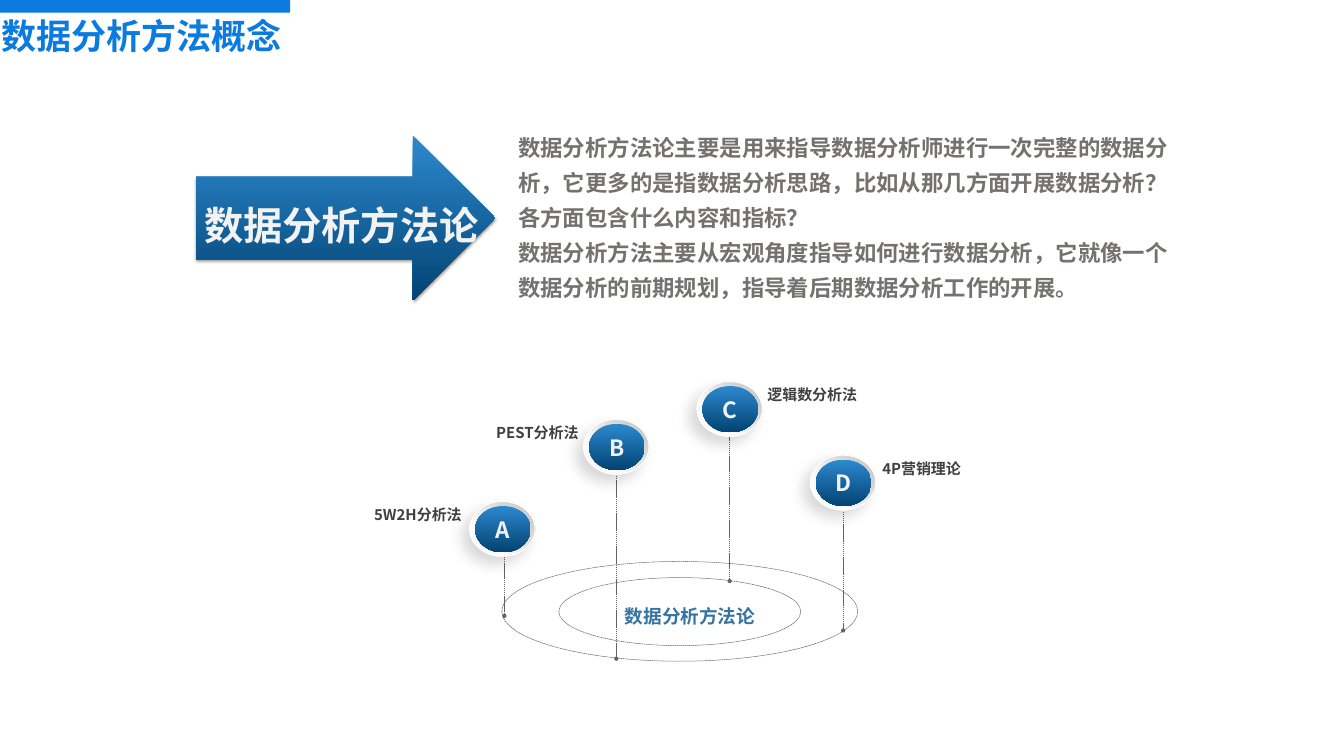
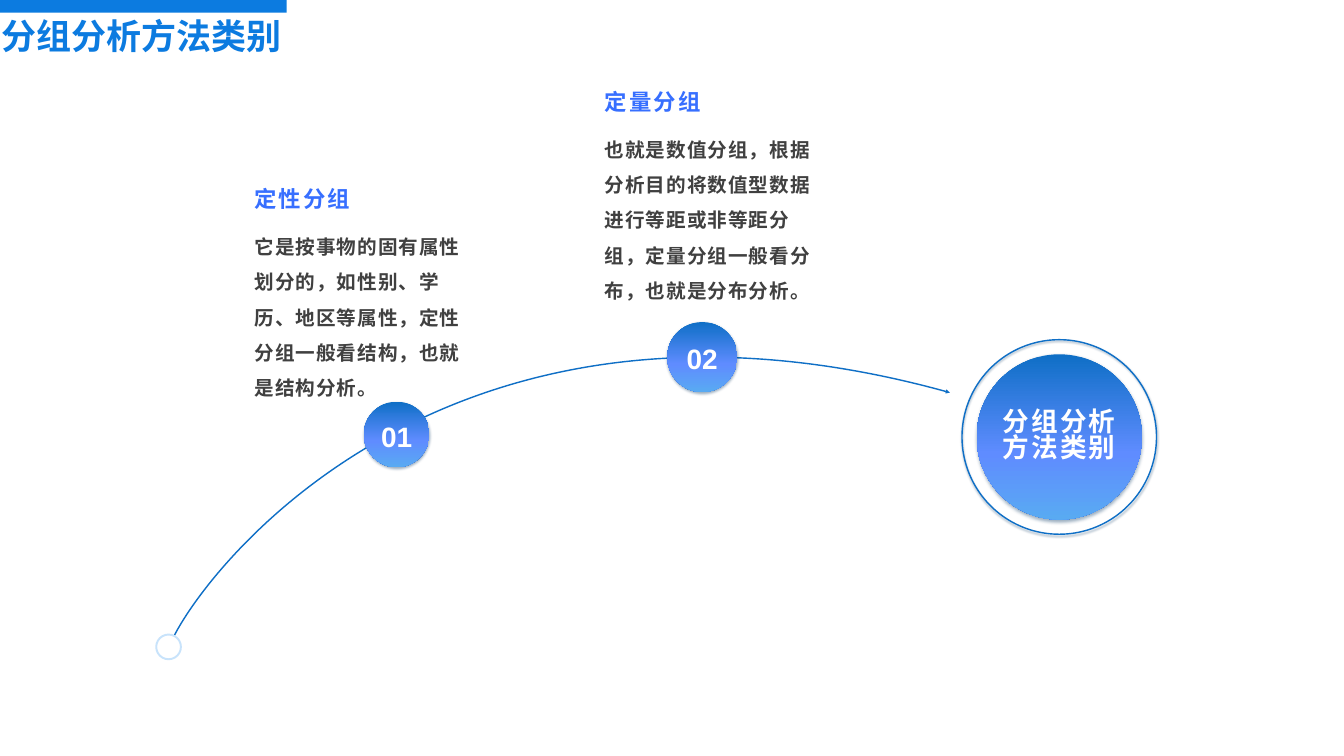
from lxml import etree
from pptx import Presentation
from pptx.dml.color import RGBColor
from pptx.enum import dml, shapes, text
from pptx.oxml import ns
from pptx.util import Inches, Pt

CJK, LATIN = "Noto Sans CJK JP", "Arial"
BRAND = RGBColor(0x0C, 0x7B, 0xE0)
HEADING = RGBColor(0x37, 0x6F, 0xFF)
CURVE = RGBColor(0x0F, 0x6F, 0xC6)
PALE = RGBColor(0xC8, 0xE3, 0xFB)
HUB = RGBColor(0x35, 0x74, 0xA0)
WHITE = RGBColor(0xFF, 0xFF, 0xFF)
OFF_WHITE = RGBColor(0xF2, 0xF2, 0xF2)
GREY = RGBColor(0x75, 0x71, 0x70)
DARK = RGBColor(0x40, 0x40, 0x40)
DASH = RGBColor(0x62, 0x62, 0x62)
BLACK = RGBColor(0, 0, 0)
NAVY = RGBColor(0x08, 0x37, 0x63)

DEEP = [(0, RGBColor(0x2C, 0x89, 0xCE)), (100, RGBColor(0x03, 0x43, 0x73))]
BRIGHT = [(0, CURVE), (60, RGBColor(0x5F, 0x8C, 0xFF)), (100, RGBColor(0x59, 0xAA, 0xF2))]
SILVER = [(0, RGBColor(0xBF, 0xBF, 0xBF)), (70, RGBColor(0xFA, 0xFA, 0xFA))]

LEFT, CENTER, RIGHT = text.PP_ALIGN.LEFT, text.PP_ALIGN.CENTER, text.PP_ALIGN.RIGHT
TOP, MIDDLE = text.MSO_ANCHOR.TOP, text.MSO_ANCHOR.MIDDLE
ROOMY, SNUG, FLUSH, HEAD = (0.2, 0.1, 0.2, 0.1), (0.1, 0.05, 0.1, 0.05), (0, 0, 0, 0), (0.2, 0.1, 0.2, 0)

CONCEPT = {
    "title": "数据分析方法概念",
    "band": 5.78,
    "arrow": "数据分析方法论",
    "intro": [
        "数据分析方法论主要是用来指导数据分析师进行一次完整的数据分析，它更多的是指数据分析思路，比如从那几方面开展数据分析？各方面包含什么内容和指标？",
        "数据分析方法主要从宏观角度指导如何进行数据分析，它就像一个数据分析的前期规划，指导着后期数据分析工作的开展。",
    ],
    "hub": "数据分析方法论",
    "methods": [
        ("A", "5W2H分析法", (9.32, 9.95), (10.01, 12.22), 5.01, RIGHT),
        ("B", "PEST分析法", (11.58, 8.32), (12.23, 13.07), 7.33, RIGHT),
        ("C", "逻辑数分析法", (13.83, 7.57), (14.48, 11.53), 15.13, LEFT),
        ("D", "4P营销理论", (16.08, 9.03), (16.73, 12.51), 17.41, LEFT),
    ],
    "orbits": [(9.96, 11.14, 7.06, 1.98), (11.09, 11.46, 4.8, 1.35)],
}
GROUPING = {
    "title": "分组分析方法类别",
    "band": 5.71,
    "goal": ["分组分析", "方法类别"],
    "steps": [
        ("01", "定性分组", "它是按事物的固有属性划分的，如性别、学历、地区等属性，定性分组一般看结构，也就是结构分析。",
         (4.85, 3.49), (7.22, 7.97, 1.3, 1.3)),
        ("02", "定量分组", "也就是数值分组，根据分析目的将数值型数据进行等距或非等距分组，定量分组一般看分布，也就是分布分析。",
         (11.8, 1.56), (13.24, 6.39, 1.39, 1.39)),
    ],
    "curve": [(3.35, 12.87), (3.56, 12.03), (8.31, 4.85), (18.85, 7.79)],
}


def box(left, top, width, height):
    return [Inches(length) for length in (left, top, width, height)]


def write(frame, lines, size, color, name=CJK, align=LEFT, anchor=TOP, insets=SNUG,
          spacing=1.0, tracking=0, wrap=True):
    margins = zip(("margin_left", "margin_top", "margin_right", "margin_bottom"), map(Inches, insets))
    frame_format = dict(margins, word_wrap=wrap, vertical_anchor=anchor, auto_size=text.MSO_AUTO_SIZE.NONE)
    for key, value in frame_format.items():
        setattr(frame, key, value)
    for index, line in enumerate(lines):
        paragraph = frame.add_paragraph() if index else frame.paragraphs[0]
        paragraph.alignment, paragraph.line_spacing = align, spacing
        paragraph._p.get_or_add_pPr().set("hangingPunct", "0")
        run = paragraph.add_run()
        run.text = line
        for key, value in {"size": Pt(size), "bold": True, "name": name}.items():
            setattr(run.font, key, value)
        run.font.color.rgb = color
        properties = run._r.get_or_add_rPr()
        etree.SubElement(properties, ns.qn("a:ea"), typeface=name)
        if tracking:
            properties.set("spc", str(int(tracking * 100)))


def label(slide, place, lines, size, color, **style):
    write(slide.shapes.add_textbox(*box(*place)).text_frame, lines, size, color, **style)


def add_color(parent, color, alpha=100):
    tag = etree.SubElement(parent, ns.qn("a:srgbClr"), val=str(color))
    if alpha < 100:
        etree.SubElement(tag, ns.qn("a:alpha"), val=str(alpha * 1000))


def paint(shape, fill=None, angle=90, line=None, shadow=None):
    shape.shadow.inherit = False
    properties = shape._element.spPr
    if isinstance(fill, list):
        shape.fill.gradient()
        shape.fill.gradient_angle = 360 - angle
        stops = properties.find(".//" + ns.qn("a:gsLst"))
        stops.clear()
        for position, color in fill:
            add_color(etree.SubElement(stops, ns.qn("a:gs"), pos=str(position * 1000)), color)
    elif fill is None:
        shape.fill.background()
    else:
        shape.fill.solid()
        shape.fill.fore_color.rgb = fill
    if line:
        stroke(shape, *line)
    else:
        shape.line.fill.background()
    if shadow:
        color, alpha, blur, distance, direction = shadow
        outer = etree.SubElement(
            properties.find(ns.qn("a:effectLst")), ns.qn("a:outerShdw"), blurRad=str(Pt(blur)),
            dist=str(Pt(distance)), dir=str(direction * 60000), algn="ctr", rotWithShape="0")
        add_color(outer, color, alpha)
    return shape


def stroke(shape, color, width, dash=None):
    shape.line.color.rgb = color
    shape.line.width = Pt(width)
    if dash:
        shape.line.dash_style = dash


def end_marks(shape, **marks):
    outline = shape._element.spPr.find(ns.qn("a:ln"))
    for end, mark in marks.items():
        etree.SubElement(outline, ns.qn("a:" + end), type=mark)


def draw(slide, kind, place, **style):
    return paint(slide.shapes.add_shape(kind, *box(*place)), **style)


def oval(slide, place, **style):
    return draw(slide, shapes.MSO_SHAPE.OVAL, place, **style)


def titled_slide(deck, content):
    slide = deck.slides.add_slide(deck.slide_layouts[5])
    draw(slide, shapes.MSO_SHAPE.RECTANGLE, (-0.02, -0.01, content["band"], 0.26), fill=BRAND)
    title = slide.shapes.title
    title.left, title.top, title.width, title.height = box(0.03, 0.28, content["band"] + 0.42, 1.62)
    write(title.text_frame, [content["title"]], 50, BRAND, insets=FLUSH)
    return slide


def concept_slide(deck):
    slide = titled_slide(deck, CONCEPT)
    draw(slide, shapes.MSO_SHAPE.RIGHT_ARROW, (3.89, 2.69, 5.94, 3.27), fill=DEEP, shadow=(BLACK, 40, 4, 3, 90))
    label(slide, (10.08, 2.41, 13.36, 3.7), CONCEPT["intro"], 32, GREY, insets=ROOMY, spacing=1.3)
    label(slide, (3.85, 3.61, 6.27, 1.42), [CONCEPT["arrow"]], 56, OFF_WHITE, insets=ROOMY, spacing=1.3)

    dashed = (DASH, 0.75, dml.MSO_LINE.SQUARE_DOT)
    for _, _, (_, top), (x, foot), _, _ in CONCEPT["methods"]:
        stem = slide.shapes.add_connector(
            shapes.MSO_CONNECTOR.STRAIGHT, Inches(x), Inches(foot), Inches(x), Inches(top + 0.7))
        stroke(stem, *dashed)
        end_marks(stem, headEnd="oval", tailEnd="oval")
        etree.SubElement(stem._element.spPr, ns.qn("a:effectLst"))
    for orbit in CONCEPT["orbits"]:
        oval(slide, orbit, line=dashed)
    label(slide, (12.3, 11.85, 2.83, 0.64), [CONCEPT["hub"]], 26.6, HUB, anchor=MIDDLE, spacing=1.2,
          align=text.PP_ALIGN.JUSTIFY)
    for letter, method, (left, top), _, label_left, align in CONCEPT["methods"]:
        oval(slide, (left, top, 1.3, 1.09), fill=SILVER, angle=135,
             line=(WHITE, 1.5), shadow=(BLACK, 15, 20, 15, 135))
        disc = oval(slide, (left + 0.11, top + 0.09, 1.1, 0.92), fill=DEEP)
        write(disc.text_frame, [letter], 32, OFF_WHITE, align=CENTER, anchor=MIDDLE, insets=FLUSH, wrap=False)
        label(slide, (label_left, top - 0.04, 4.25, 0.53), [method], 21.4, DARK, align=align, spacing=1.2)


def bezier(points, t):
    weights = ((1 - t) ** 3, 3 * t * (1 - t) ** 2, 3 * t ** 2 * (1 - t), t ** 3)
    return tuple(Inches(sum(w * p[axis] for w, p in zip(weights, points))) for axis in (0, 1))


def curved_line(slide, points, pieces=60):
    route = [bezier(points, n / pieces) for n in range(pieces + 1)]
    builder = slide.shapes.build_freeform(*route[0])
    builder.add_line_segments(route[1:], close=False)
    curve = builder.convert_to_shape()
    outline = curve._element.spPr.find(".//" + ns.qn("a:path"))
    for segment in outline.findall(ns.qn("a:lnTo")):
        outline.remove(segment)
    bend = etree.SubElement(outline, ns.qn("a:cubicBezTo"))
    for x, y in points[1:]:
        etree.SubElement(bend, ns.qn("a:pt"), x=str(Inches(x) - curve.left), y=str(Inches(y) - curve.top))
    return curve


def grouping_slide(deck):
    slide = titled_slide(deck, GROUPING)
    curve = paint(curved_line(slide, GROUPING["curve"]), line=(CURVE, 2))
    end_marks(curve, tailEnd="triangle")
    oval(slide, (3.1, 12.59, 0.49, 0.49), fill=WHITE, line=(PALE, 2.75))

    for number, heading, detail, (left, top), place in GROUPING["steps"]:
        disc = oval(slide, place, fill=BRIGHT, shadow=(NAVY, 40, 4, 2, 90))
        write(disc.text_frame, [number], 40, WHITE, name=LATIN, align=CENTER, anchor=MIDDLE,
              insets=FLUSH, spacing=1.1, wrap=False)
        label(slide, (left, top + 0.84, 4.73, 3.8), [detail], 28, DARK, insets=ROOMY, spacing=1.5, tracking=1.5)
        label(slide, (left, top, 3.57, 0.79), [heading], 32, HEADING, anchor=MIDDLE, insets=HEAD, tracking=3)

    goal = oval(slide, (19.38, 7.03, 3.28, 3.28), fill=BRIGHT, shadow=(NAVY, 40, 5, 3, 90))
    write(goal.text_frame, GROUPING["goal"], 38, WHITE, align=CENTER, anchor=MIDDLE, insets=FLUSH,
          spacing=0.8, tracking=3, wrap=False)
    oval(slide, (19.09, 6.74, 3.86, 3.86), line=(CURVE, 2), shadow=(NAVY, 40, 3, 2, 90))


def main():
    deck = Presentation()
    deck.slide_width, deck.slide_height = Inches(26.67), Inches(15)
    concept_slide(deck)
    grouping_slide(deck)
    deck.save("out.pptx")


if __name__ == "__main__":
    main()
